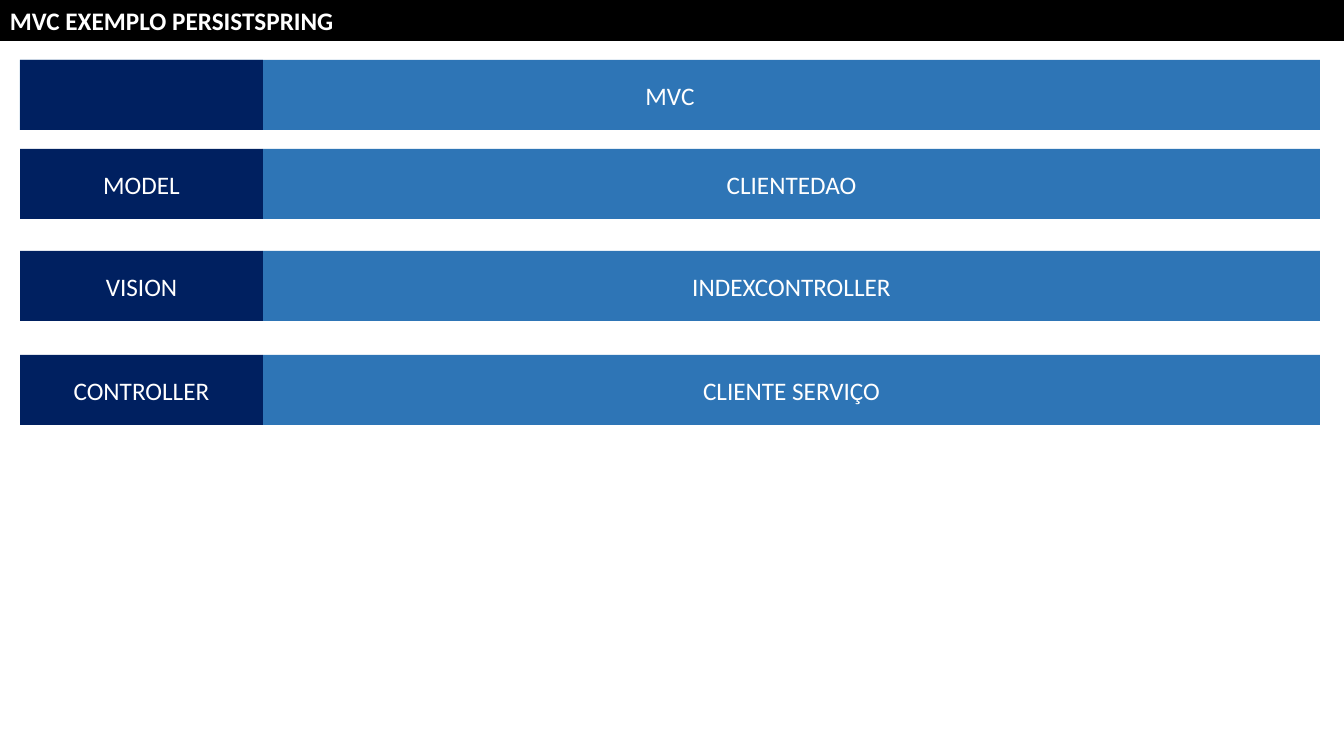
from dataclasses import dataclass

from pptx import Presentation
from pptx.dml.color import RGBColor
from pptx.enum.shapes import MSO_SHAPE as SHAPE
from pptx.enum.text import MSO_ANCHOR as ANCHOR, PP_ALIGN as ALIGN
from pptx.util import Emu, Pt

EMU_PER_PX = 914400 / 100.8
WIDTH, HEIGHT = 1344, 756
COLORS = {"title": "000000", "label": "002060", "value": "2E75B6", "text": "FFFFFF"}

# Row grid
LEFT, RIGHT, SPLIT = 20, 1320, 263
ROW_HEIGHT = 70


@dataclass
class Bar:
    left: int
    top: int
    width: int
    height: int
    fill: str
    text: str = ""
    align: ALIGN = ALIGN.CENTER
    anchor: ANCHOR = ANCHOR.MIDDLE
    bold: bool = False


@dataclass
class Layer:
    top: int
    label: str
    value: str


def px(n: int) -> Emu:
    return Emu(round(n * EMU_PER_PX))


def rgb(name: str) -> RGBColor:
    return RGBColor.from_string(COLORS[name])


def draw_bar(slide, bar: Bar) -> None:
    s = slide.shapes.add_shape(
        SHAPE.RECTANGLE, px(bar.left), px(bar.top), px(bar.width), px(bar.height))
    s.shadow.inherit = False
    s.fill.solid()
    s.fill.fore_color.rgb = rgb(bar.fill)
    s.line.fill.background()
    if not bar.text:
        return
    tf = s.text_frame
    tf.word_wrap = True
    tf.vertical_anchor = bar.anchor
    p = tf.paragraphs[0]
    p.alignment = bar.align
    r = p.add_run()
    r.text = bar.text
    r.font.name = "Calibri"
    r.font.size = Pt(18)
    r.font.bold = bar.bold
    r.font.color.rgb = rgb("text")


def label_bar(top: int, text: str = "") -> Bar:
    return Bar(LEFT, top, SPLIT - LEFT, ROW_HEIGHT, "label", text)


def value_bar(left: int, top: int, text: str) -> Bar:
    return Bar(left, top, RIGHT - left, ROW_HEIGHT, "value", text)


def draw_layer(slide, layer: Layer) -> None:
    draw_bar(slide, value_bar(SPLIT, layer.top, layer.value))
    draw_bar(slide, label_bar(layer.top, layer.label))


prs = Presentation()
prs.slide_width, prs.slide_height = px(WIDTH), px(HEIGHT)
slide = prs.slides.add_slide(prs.slide_layouts[6])

# Title strip
draw_bar(slide, Bar(0, 0, WIDTH, 41, "title", "MVC EXEMPLO PERSISTSPRING",
                    ALIGN.LEFT, ANCHOR.TOP, bold=True))

# MVC layers
for layer in (
    Layer(149, "MODEL", "CLIENTEDAO"),
    Layer(251, "VISION", "INDEXCONTROLLER"),
    Layer(355, "CONTROLLER", "CLIENTE SERVIÇO"),
):
    draw_layer(slide, layer)

# Header row: the full-width bar runs behind its empty label
draw_bar(slide, value_bar(LEFT, 60, "MVC"))
draw_bar(slide, label_bar(60))

prs.save("out.pptx")
